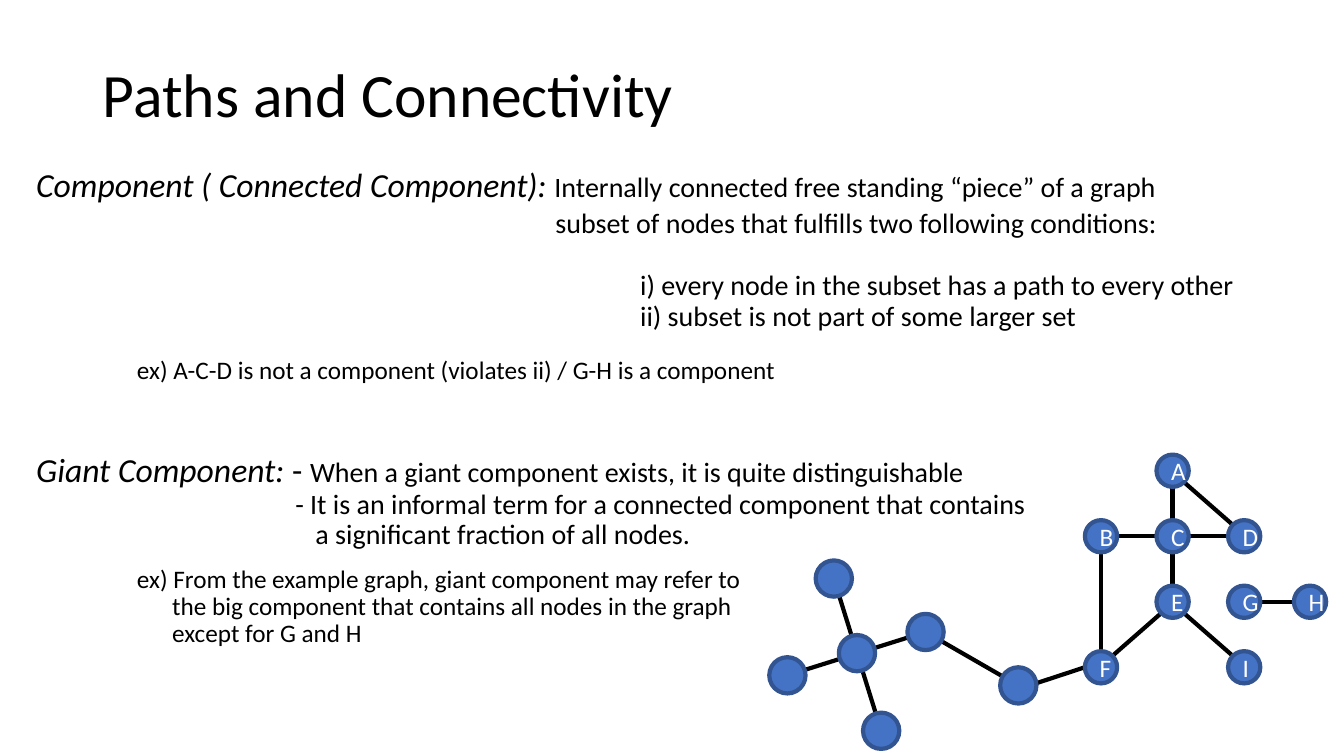
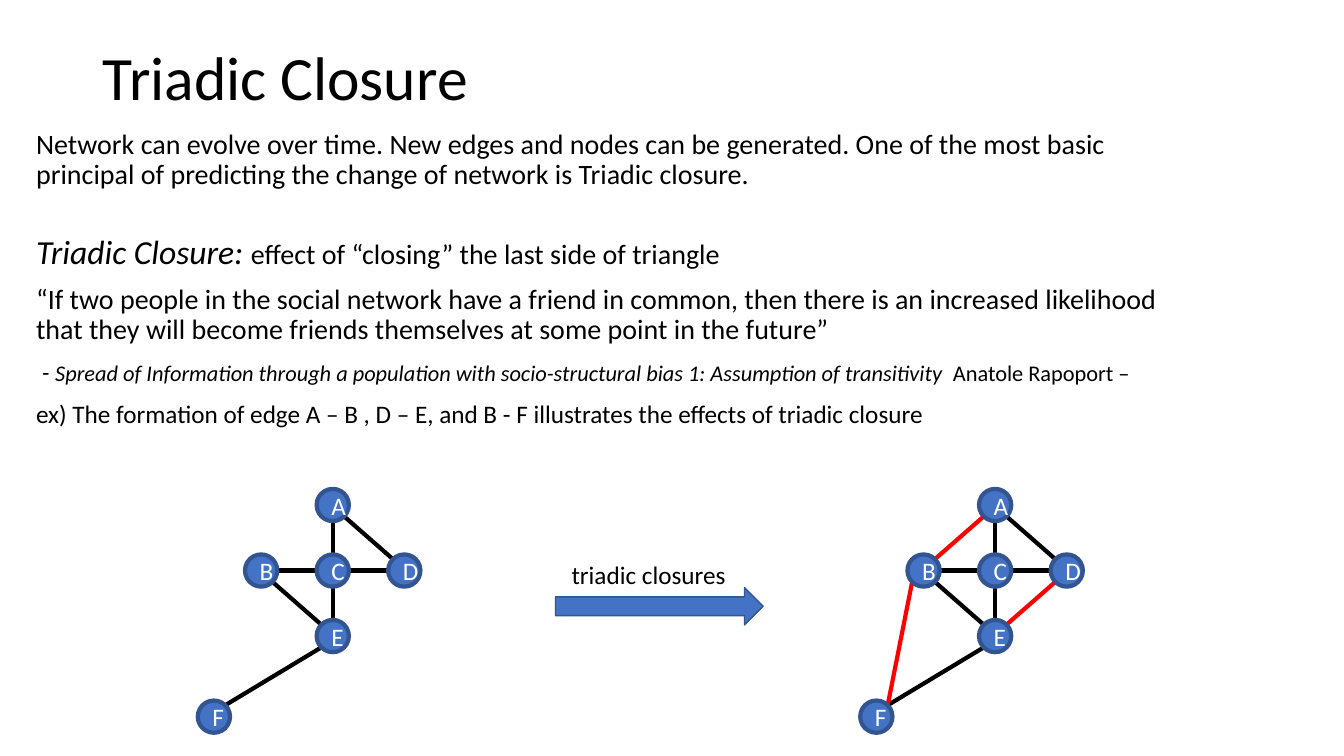
from dataclasses import dataclass
from math import atan2, cos, radians, sin
from typing import Optional

from lxml.etree import SubElement
from pptx import Presentation
from pptx.dml.color import RGBColor
from pptx.enum.shapes import MSO_CONNECTOR as Connector, MSO_SHAPE as Shape
from pptx.enum.text import MSO_ANCHOR as Anchor, MSO_AUTO_SIZE as AutoSize, PP_ALIGN as Align
from pptx.oxml.ns import qn
from pptx.util import Inches, Pt

# Shared style
FONT = "Calibri"
BLACK = RGBColor(0x00, 0x00, 0x00)
WHITE = RGBColor(0xFF, 0xFF, 0xFF)
RED = RGBColor(0xFF, 0x00, 0x00)
BLUE = RGBColor(0x44, 0x72, 0xC4)
DARK_BLUE = RGBColor(0x32, 0x54, 0x91)
SLIDE_WIDTH, SLIDE_HEIGHT = 13.33, 7.5
MARGIN = 0.26
COLUMN, ROW = 0.71, 0.65  # pitch of the graph grid
NODE_SIZE, HUB_SIZE = 0.32, 0.36
LINE_SPACING = 0.9

# Directions on a node's rim, in degrees clockwise from the right
EAST, SOUTH_EAST, SOUTH, SOUTH_WEST = 0, 45, 90, 135
WEST, NORTH_WEST, NORTH, NORTH_EAST = 180, 225, 270, 315


@dataclass(frozen=True)
class Span:
    text: str
    size: int = 20
    italic: bool = False


@dataclass(frozen=True)
class Para:
    spans: tuple[Span, ...]
    before: float = 0
    indent: float = 0
    hanging: float = 0


@dataclass(frozen=True)
class Node:
    x: float
    y: float
    label: str = ""
    size: float = NODE_SIZE

    def rim(self, angle: float) -> tuple[float, float]:
        radius = self.size / 2
        return self.x + radius * cos(angle), self.y + radius * sin(angle)


@dataclass(frozen=True)
class Edge:
    start: str
    end: str
    leave: Optional[float] = None
    arrive: Optional[float] = None
    color: RGBColor = BLACK


# Text helpers
def add_span(para, span: Span, color: RGBColor = BLACK) -> None:
    run = para.add_run()
    run.text = span.text
    run.font.name = FONT
    run.font.size = Pt(span.size)
    run.font.italic = span.italic
    run.font.color.rgb = color


def add_page(deck, title: str, top: float):
    page = deck.slides.add_slide(deck.slide_layouts[5])
    box = page.shapes.title
    box.left, box.top = Inches(0.92), Inches(top)
    box.width, box.height = Inches(11.5), Inches(1.45)
    frame = box.text_frame
    frame.auto_size = AutoSize.NONE
    frame.vertical_anchor = Anchor.MIDDLE
    para = frame.paragraphs[0]
    para.alignment = Align.LEFT
    para.line_spacing = LINE_SPACING
    add_span(para, Span(title, 44))
    return page


def add_body(page, top: float, width: float, paras: list[Para]) -> None:
    box = page.shapes.add_textbox(Inches(MARGIN), Inches(top), Inches(width),
                                  Inches(SLIDE_HEIGHT - 0.4 - top))
    frame = box.text_frame
    frame.word_wrap = True
    for index, item in enumerate(paras):
        para = frame.add_paragraph() if index else frame.paragraphs[0]
        para.line_spacing = LINE_SPACING
        para.space_before = Pt(item.before)
        properties = para._p.get_or_add_pPr()
        properties.set("marL", str(Inches(item.indent + item.hanging)))
        properties.set("indent", str(-Inches(item.hanging)))
        for span in item.spans:
            for line_index, line in enumerate(span.text.split("\n")):
                if line_index:
                    para.add_line_break()
                add_span(para, Span(line, span.size, span.italic))


# Graph helpers
def paint(shape, line_width: float) -> None:
    shape.shadow.inherit = False
    shape.fill.solid()
    shape.fill.fore_color.rgb = BLUE
    shape.line.color.rgb = DARK_BLUE
    shape.line.width = Pt(line_width)


def add_edge(shapes, nodes: dict[str, Node], edge: Edge) -> None:
    start, end = nodes[edge.start], nodes[edge.end]
    heading = atan2(end.y - start.y, end.x - start.x)
    leave = heading if edge.leave is None else radians(edge.leave)
    arrive = heading + radians(180) if edge.arrive is None else radians(edge.arrive)
    points = (*start.rim(leave), *end.rim(arrive))
    line = shapes.add_connector(Connector.STRAIGHT, *(Inches(value) for value in points))
    line.line.color.rgb = edge.color
    line.line.width = Pt(3)
    SubElement(line._element.spPr, qn("a:effectLst"))


def add_node(shapes, node: Node) -> None:
    circle = shapes.add_shape(Shape.OVAL, Inches(node.x - node.size / 2),
                              Inches(node.y - node.size / 2),
                              Inches(node.size), Inches(node.size))
    paint(circle, 3)
    if node.label:
        para = circle.text_frame.paragraphs[0]
        para.alignment = Align.CENTER
        add_span(para, Span(node.label, 18), WHITE)


def add_graph(page, nodes: dict[str, Node], edges: list[Edge]) -> None:
    shapes = page.shapes.add_group_shape().shapes
    for edge in edges:
        add_edge(shapes, nodes, edge)
    for node in nodes.values():
        add_node(shapes, node)


def grid_nodes(x: float, y: float, cells: dict[str, tuple[float, float]]) -> dict[str, Node]:
    return {label: Node(x + column * COLUMN, y + row * ROW, label)
            for label, (column, row) in cells.items()}


# Cells and edges that every lettered graph shares
CORE_CELLS = {"A": (0, 0), "B": (-1, 1), "C": (0, 1), "D": (1, 1), "E": (0, 2)}
CORE_EDGES = [
    Edge("A", "E", SOUTH, NORTH),
    Edge("B", "D", EAST, WEST),
    Edge("A", "D", SOUTH_EAST, NORTH_WEST),
]


def build_connectivity(deck) -> None:
    page = add_page(deck, "Paths and Connectivity", 0.24)
    add_body(page, 1.62, 12.39, [
        Para((Span("Component ( Connected Component): ", 24, True),
              Span("Internally connected free standing “piece” of a graph"))),
        Para((Span("subset of nodes that fulfills two following conditions:"),), 3.3, 5.15),
        Para((Span("i) every node in the subset has a path to every other\n"
                   "ii) subset is not part of some larger set"),), 23, 5.99),
        Para((Span("ex) A-C-D is not a component (violates ii) / G-H is a component", 18),),
             18.3, 1),
        Para((Span("Giant Component:", 24, True), Span(" - ", 24),
              Span("When a giant component exists, it is quite distinguishable")), 49),
        Para((Span("- It is an informal term for a connected component that contains\n"
                   "a significant fraction of all nodes."),), 0, 2.57, 0.2),
        Para((Span("ex) From the example graph, giant component may refer to\n"
                   "the big component that contains all nodes in the graph\n"
                   "except for G and H", 18),), 11.7, 1, 0.35),
    ])
    nodes = grid_nodes(11.63, 4.67, CORE_CELLS | {
        "F": (-1, 3), "G": (1, 2), "H": (1.92, 2), "I": (1, 3)})
    centers = {"west": (7.81, 6.7), "east": (9.18, 6.27), "north": (8.27, 5.74),
               "south": (8.74, 7.25), "bridge": (10.1, 6.8), "hub": (8.5, 6.48)}
    nodes |= {name: Node(x, y, size=HUB_SIZE) for name, (x, y) in centers.items()}
    add_graph(page, nodes, CORE_EDGES + [
        Edge("E", "F", SOUTH_WEST, NORTH_EAST),
        Edge("E", "I", SOUTH_EAST, NORTH_WEST),
        Edge("B", "F", SOUTH, NORTH),
        Edge("G", "H", EAST, WEST),
        Edge("bridge", "F", -7, WEST),
        Edge("west", "east"),
        Edge("north", "south"),
        Edge("east", "bridge"),
    ])


def build_closure(deck) -> None:
    page = add_page(deck, "Triadic Closure", 0.07)
    add_body(page, 1.24, 11.5, [
        Para((Span("Network can evolve over time. New edges and nodes can be generated. "
                   "One of the most basic principal of predicting the change of network "
                   "is Triadic closure."),)),
        Para((Span("Triadic Closure: ", 24, True),
              Span("effect of “closing” the last side of triangle")), 32),
        Para((Span("“If two people in the social network have a friend in common, then there "
                   "is an increased likelihood that they will become friends themselves at "
                   "some point in the future”"),), 10),
        Para((Span(" - ", 18, True),
              Span("Spread of Information through a population with socio-structural bias 1: "
                   "Assumption of transitivity ", 16, True),
              Span(" Anatole Rapoport –", 16)), 10),
        Para((Span("ex) The formation of edge A – B , D – E, and B - F illustrates "
                   "the effects of triadic closure", 18),), 10),
    ])

    # Graph before and after the closures
    cells = CORE_CELLS | {"F": (-1.66, 3.23)}
    before = CORE_EDGES + [
        Edge("B", "E", SOUTH_EAST, NORTH_WEST),
        Edge("E", "F", SOUTH_WEST, NORTH_EAST),
    ]
    closures = [
        Edge("A", "B", NORTH_WEST - 90, NORTH_EAST, RED),
        Edge("D", "E", SOUTH_WEST, NORTH_EAST, RED),
        Edge("B", "F", SOUTH_WEST, NORTH_EAST, RED),
    ]
    for x, edges in ((3.3, before), (9.87, before + closures)):
        add_graph(page, grid_nodes(x, 5.01, cells), edges)

    # Arrow and its caption
    arrow = page.shapes.add_shape(Shape.RIGHT_ARROW, Inches(5.51), Inches(5.83),
                                  Inches(2.06), Inches(0.37))
    paint(arrow, 1)
    caption = page.shapes.add_textbox(Inches(5.57), Inches(5.5), Inches(1.75), Inches(0.4))
    caption.text_frame.word_wrap = False
    add_span(caption.text_frame.paragraphs[0], Span("triadic closures", 18))


def main() -> None:
    deck = Presentation()
    deck.slide_width, deck.slide_height = Inches(SLIDE_WIDTH), Inches(SLIDE_HEIGHT)
    build_connectivity(deck)
    build_closure(deck)
    deck.save("out.pptx")


if __name__ == "__main__":
    main()
